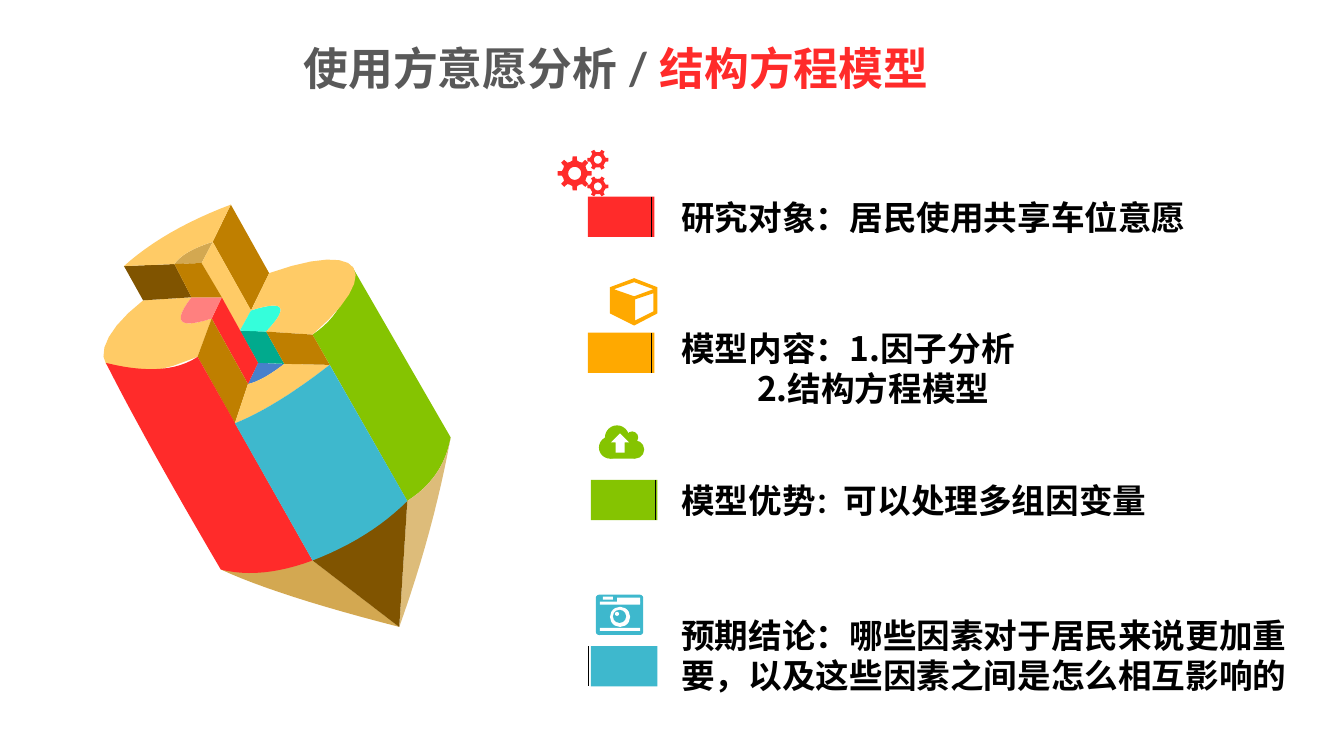
from math import cos, pi, sin

from lxml.etree import SubElement
from pptx import Presentation
from pptx.dml.color import RGBColor
from pptx.enum.shapes import MSO_CONNECTOR, MSO_SHAPE
from pptx.enum.text import MSO_ANCHOR, PP_ALIGN
from pptx.oxml.ns import qn
from pptx.util import Inches, Pt

RED = RGBColor(0xFF, 0x2B, 0x2A)
ORANGE = RGBColor(0xFF, 0xA9, 0x00)
GREEN = RGBColor(0x85, 0xC4, 0x01)
BLUE = RGBColor(0x3E, 0xB8, 0xCD)
GREY = RGBColor(0x59, 0x59, 0x59)
BLACK = RGBColor(0x00, 0x00, 0x00)
WHITE = RGBColor(0xFF, 0xFF, 0xFF)
WOOD = RGBColor(0xBF, 0x7F, 0x00)
DARK_WOOD = RGBColor(0x80, 0x54, 0x00)
LIGHT_WOOD = RGBColor(0xFF, 0xCB, 0x66)
PALE_WOOD = RGBColor(0xD3, 0xA8, 0x51)
SAND = RGBColor(0xDD, 0xBC, 0x7A)
PINK = RGBColor(0xFF, 0x80, 0x7F)
TEAL = RGBColor(0x01, 0xAA, 0x8D)
AQUA = RGBColor(0x35, 0xFE, 0xDB)
NAVY = RGBColor(0x48, 0x80, 0xCB)
CJK_FONT = "Noto Sans CJK SC"
GRID = 100
CURVE_STEPS = 12

PENCIL_POINTS = {
    "A": (126, 0), "B": (164, 68), "C": (146, 105), "D": (108, 37), "E": (70, 59),
    "F": (87, 92), "G": (39, 95), "H": (20, 61), "I": (2, 157), "J": (116, 362),
    "K": (97, 58), "L": (207, 353), "M": (301, 294), "N": (135, 125), "O": (246, 61),
    "P": (161, 126), "Q": (179, 158), "R": (153, 157), "S": (143, 178), "T": (107, 113),
    "U": (117, 92), "V": (93, 151), "W": (130, 217), "X": (224, 159), "Y": (207, 129),
    "Z": (344, 231), "Δ": (293, 419),
    "a": (172, 388), "b": (337, 271), "c": (242, 106), "d": (58, 129), "e": (-11, 194),
    "f": (-27, 146), "g": (42, 236), "h": (62, 172), "i": (156, 372), "j": (264, 331),
    "k": (170, 201), "l": (260, 34), "m": (277, 68), "n": (196, 89), "o": (60, 25),
    "p": (79, 46), "q": (157, 175), "r": (327, 324),
}
PENCIL_FACES = [
    ("JLΔa", PALE_WOOD), ("OZbMYc", GREEN), ("GFdTVef", LIGHT_WOOD), ("ABCD", WOOD),
    ("EFGH", DARK_WOOD), ("DKEp", PALE_WOOD), ("HoADpE", LIGHT_WOOD), ("KDCN", LIGHT_WOOD),
    ("SRQq", NAVY), ("NPQR", TEAL), ("CnPN", AQUA), ("TURS", RED), ("TdFU", PINK),
    ("TSWV", WOOD), ("SqQXkW", LIGHT_WOOD), ("MbZrΔ", SAND), ("LMΔ", DARK_WOOD),
    ("EKUF", WOOD), ("BlmYPnC", LIGHT_WOOD), ("IgJiLVh", RED), ("PYXQ", WOOD),
    ("XMjLWk", BLUE),
]
CLOUD_PARTS = [
    (MSO_SHAPE.OVAL, GREEN, (0, 11, 22, 22)),
    (MSO_SHAPE.OVAL, GREEN, (6, 0, 24, 24)),
    (MSO_SHAPE.OVAL, GREEN, (27, 6, 12, 12)),
    (MSO_SHAPE.OVAL, GREEN, (27, 15, 18, 18)),
    (MSO_SHAPE.RECTANGLE, GREEN, (11, 14, 25, 19)),
    (MSO_SHAPE.UP_ARROW, WHITE, (12, 8, 18, 19)),
]
CAMERA_PARTS = [
    (MSO_SHAPE.ROUNDED_RECTANGLE, BLUE, (0, 0, 47, 40)),
    (MSO_SHAPE.RECTANGLE, WHITE, (4, 33, 40, 3)),
    (MSO_SHAPE.RECTANGLE, WHITE, (7, 2, 10, 3)),
    (MSO_SHAPE.RECTANGLE, WHITE, (4, 7, 40, 3)),
    (MSO_SHAPE.RECTANGLE, WHITE, (21, 3, 23, 5)),
    (MSO_SHAPE.OVAL, WHITE, (14, 12, 20, 20)),
    (MSO_SHAPE.OVAL, BLUE, (17, 15, 13, 13)),
    (MSO_SHAPE.OVAL, WHITE, (19, 17, 4, 4)),
]
CUBE_FACES = [
    [(24, 0), (47, 9), (47, 35), (24, 47), (0, 35), (0, 9)],
    [(24, 4), (43, 11), (24, 18), (4, 11)],
    [(43, 33), (25, 42), (25, 21), (43, 15)],
]


def paint(shape, color):
    """Give a shape a flat fill without line or shadow."""
    shape.shadow.inherit = False
    shape.fill.solid()
    shape.fill.fore_color.rgb = color
    shape.line.fill.background()


def add_outline(slide, left, top, contours, color):
    """Draw contours given in grid units from the corner of their box."""
    outlines = [[(Inches(left + x / GRID), Inches(top + y / GRID)) for x, y in contour]
                for contour in contours]
    builder = slide.shapes.build_freeform(*outlines[0][0])
    builder.add_line_segments(outlines[0][1:])
    for outline in outlines[1:]:
        builder.move_to(*outline[0])
        builder.add_line_segments(outline[1:])
    paint(builder.convert_to_shape(), color)


def bezier(nodes):
    """Return points along a curve of any degree, without its start."""
    points = []
    for step in range(1, CURVE_STEPS + 1):
        t, level = step / CURVE_STEPS, nodes
        while len(level) > 1:
            level = [(x + (u - x) * t, y + (v - y) * t)
                     for (x, y), (u, v) in zip(level, level[1:])]
        points.append(level[0])
    return points


def face_contour(letters):
    """Trace a face: capitals are corners, small letters bend the edge."""
    contour = [PENCIL_POINTS[letters[0]]]
    bends = []
    for letter in letters[1:] + letters[0]:
        point = PENCIL_POINTS[letter]
        if letter.islower():
            bends.append(point)
        else:
            contour += bezier([contour[-1], *bends, point]) if bends else [point]
            bends = []
    return contour


def add_pencil(slide, left, top):
    """Draw the puzzle pencil face by face."""
    for letters, color in PENCIL_FACES:
        add_outline(slide, left, top, [face_contour(letters)], color)


def ring(x, y, radius, count, profile):
    """Repeat a profile of (shift, reach) pairs around a centre."""
    turns = [(2 * pi * (i + shift) / count, radius * reach)
             for i in range(count) for shift, reach in profile]
    return [(x + reach * cos(angle), y + reach * sin(angle)) for angle, reach in turns]


def add_gears(slide, left, top):
    """Draw one large and two small toothed wheels."""
    tooth = [(-0.5, 0.72), (-0.23, 0.76), (-0.16, 1), (0.16, 1), (0.23, 0.76)]
    for x, y, radius, teeth in [(17, 23, 17, 8), (40, 9.5, 10.5, 6), (40, 36, 10.5, 6)]:
        rim = ring(x, y, radius, teeth, tooth)
        hole = ring(x, y, radius * 0.38, 24, [(0, 1)])
        add_outline(slide, left, top, [rim, hole], RED)


def add_cube(slide, left, top):
    """Draw the box icon."""
    add_outline(slide, left, top, CUBE_FACES, ORANGE)


def add_parts(slide, left, top, parts):
    """Stack preset shapes placed in grid units."""
    for kind, color, (x, y, width, height) in parts:
        shape = slide.shapes.add_shape(kind, Inches(left + x / GRID), Inches(top + y / GRID),
                                       Inches(width / GRID), Inches(height / GRID))
        if kind == MSO_SHAPE.ROUNDED_RECTANGLE:
            shape.adjustments[0] = 0.08
        paint(shape, color)


def add_text(slide, left, top, width, height, lines, latin_font=CJK_FONT):
    """Add a text box whose lines are lists of (text, size, color) runs."""
    box = slide.shapes.add_textbox(Inches(left), Inches(top), Inches(width), Inches(height))
    text_frame = box.text_frame
    text_frame.word_wrap = True
    for index, line in enumerate(lines):
        paragraph = text_frame.add_paragraph() if index else text_frame.paragraphs[0]
        for text, size, color in line:
            run = paragraph.add_run()
            run.text = text
            run.font.size = Pt(size)
            run.font.bold = True
            run.font.color.rgb = color
            run.font.name = latin_font
            SubElement(run.font._element, qn("a:ea")).set("typeface", CJK_FONT)
    return text_frame


def add_title(slide, left, top, width, height):
    """Add the centred two-colour title."""
    runs = [("使用方意愿分析 / ", 32, GREY), ("结构方程模型", 32, RED)]
    text_frame = add_text(slide, left, top, width, height, [runs], "Lato")
    text_frame.vertical_anchor = MSO_ANCHOR.MIDDLE
    text_frame.paragraphs[0].alignment = PP_ALIGN.CENTER
    text_frame.paragraphs[0].line_spacing = 0.9


def add_item(slide, left, top, color, rule_shift, text_top, text_width, lines):
    """Add one topic: colour block with a thin rule, and text."""
    add_parts(slide, left, top, [(MSO_SHAPE.RECTANGLE, color, (0, 0, 66, 40))])
    rule_x = Inches(left + rule_shift)
    rule = slide.shapes.add_connector(MSO_CONNECTOR.STRAIGHT, rule_x, Inches(top),
                                      rule_x, Inches(top + 0.4))
    rule.line.color.rgb = BLACK
    rule.line.width = Pt(0.5)
    SubElement(rule._element.spPr, qn("a:effectLst"))
    runs = [[(text, size, BLACK) for text, size in line] for line in lines]
    text_frame = add_text(slide, 6.66, text_top, text_width, 0.5, runs)
    for paragraph in text_frame.paragraphs[1:]:
        paragraph._p.get_or_add_pPr().set("marL", str(Inches(0.75)))


def main():
    """Build and save the slide."""
    presentation = Presentation()
    presentation.slide_width, presentation.slide_height = Inches(13.33), Inches(7.5)
    slide = presentation.slides.add_slide(presentation.slide_layouts[6])
    add_title(slide, 0.92, 0.4, 10.38, 0.6)
    add_pencil(slide, 1.03, 2.03)
    add_gears(slide, 5.53, 1.49)
    add_item(slide, 5.83, 1.95, RED, 0.63, 1.9, 5.5, [[("研究对象：居民使用共享车位意愿", 24)]])
    add_cube(slide, 6.05, 2.76)
    add_item(slide, 5.83, 3.3, ORANGE, 0.63, 3.2, 4.48,
             [[("模型内容：1.因子分析", 24)], [("2.结构方程模型", 24)]])
    add_parts(slide, 5.94, 4.22, CLOUD_PARTS)
    add_item(slide, 5.86, 4.76, GREEN, 0.64, 4.71, 4.94,
             [[("模型优势", 24), ("：", 20), ("可以处理多组因变量", 24)]])
    add_parts(slide, 5.91, 5.9, CAMERA_PARTS)
    add_item(slide, 5.86, 6.41, BLUE, -0.02, 6.05, 6.36,
             [[("预期结论：哪些因素对于居民来说更加重要，以及这些因素之间是怎么相互影响的", 24)]])
    presentation.save("out.pptx")


if __name__ == "__main__":
    main()
